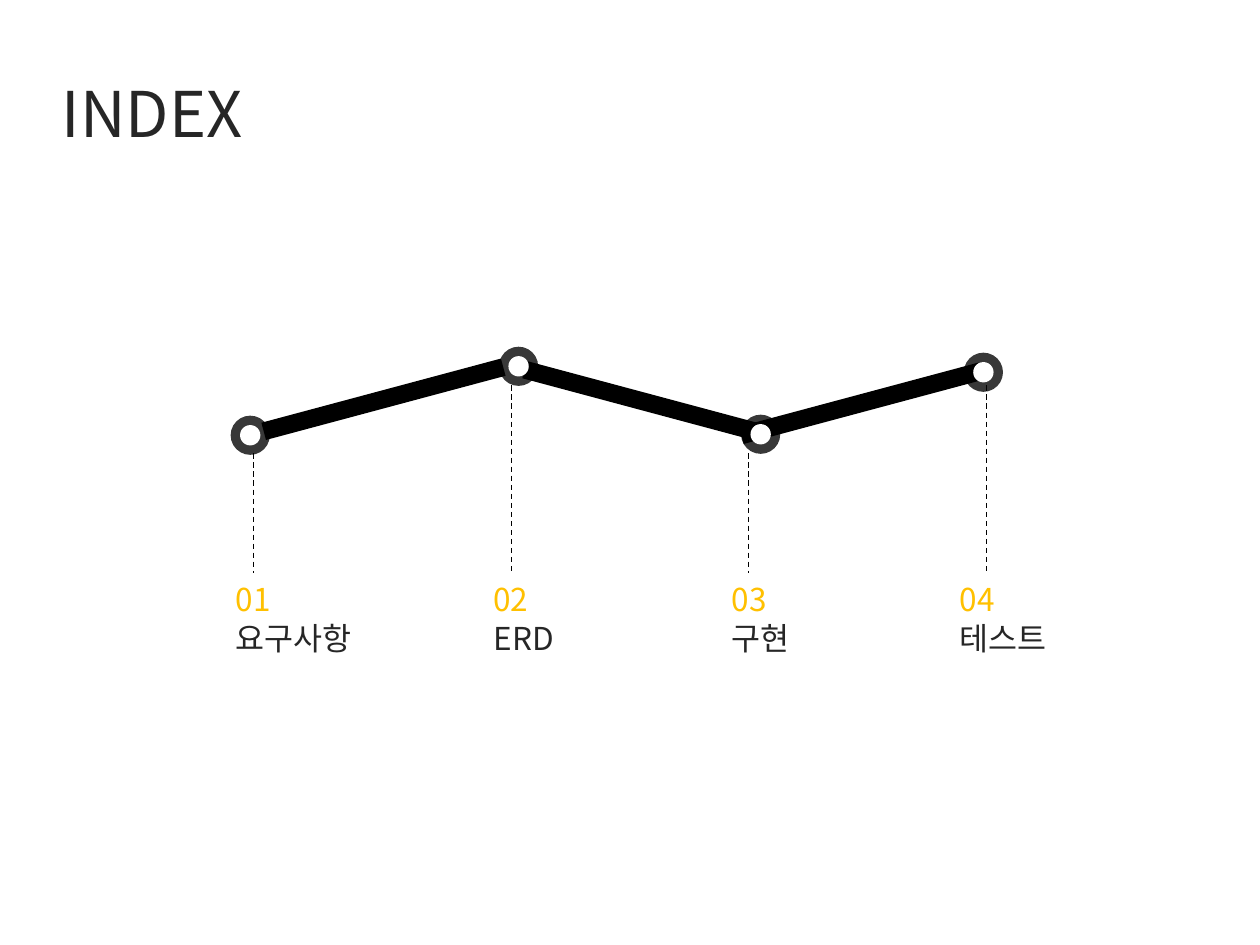
from lxml.etree import SubElement
from pptx import Presentation
from pptx.dml.color import RGBColor
from pptx.enum.dml import MSO_LINE
from pptx.enum.shapes import MSO_CONNECTOR, MSO_SHAPE
from pptx.enum.text import MSO_AUTO_SIZE
from pptx.oxml.ns import qn
from pptx.util import Cm, Pt

FONT = "Noto Sans CJK KR"
INK, DARK, ACCENT, WHITE = "000000", "262626", "FFC000", "FFFFFF"
RING, DOT = 0.79, 0.41
BAR_LENGTH, BAR_THICKNESS = 5, 0.36
LABEL_TOP, LABEL_WIDTH, LABEL_HEIGHT = 4.57, 4.39, 1.8

# Offsets in cm from the timeline box:
# number, name, label left, guide x, guide top, ring left, ring top
STATIONS = [
    ("01", "요구사항", 0, 0.61, 2.15, 0.15, 1.39),
    ("02", "ERD", 5.2, 5.81, 0.78, 5.56, 0),
    ("03", "구현", 10, 10.59, 2.15, 10.44, 1.37),
    ("04", "테스트", 14.6, 15.39, 0.78, 14.93, 0.12),
]
# Left, top, rotation
BARS = [(0.73, 0.88, -15), (5.99, 0.93, 15), (10.36, 0.96, -15)]


def color(value):
    return RGBColor.from_string(value)


def add_text(shapes, left, top, width, height, lines, size, spacing):
    box = shapes.add_textbox(Cm(left), Cm(top), Cm(width), Cm(height))
    frame = box.text_frame
    frame.word_wrap = True
    frame.auto_size = MSO_AUTO_SIZE.SHAPE_TO_FIT_TEXT
    for index, (text, shade) in enumerate(lines):
        para = frame.add_paragraph() if index else frame.paragraphs[0]
        para.text = text
        para.line_spacing = Pt(spacing)
        para.font.size = Pt(size)
        para.font.color.rgb = color(shade)
        para.font.name = FONT
        # Korean letters take their font from a:ea
        defaults = para._p.pPr.find(qn("a:defRPr"))
        SubElement(defaults, qn("a:ea"), typeface=FONT)


def add_solid(shapes, kind, left, top, width, height, fill, alpha=None):
    shape = shapes.add_shape(kind, Cm(left), Cm(top), Cm(width), Cm(height))
    shape.shadow.inherit = False
    shape.fill.solid()
    shape.fill.fore_color.rgb = color(fill)
    shape.line.fill.background()
    if alpha is not None:
        tint = shape._element.spPr.find(qn("a:solidFill"))[0]
        SubElement(tint, qn("a:alpha"), val=str(alpha * 1000))
    return shape


def add_guide(shapes, x, top, bottom):
    guide = shapes.add_connector(
        MSO_CONNECTOR.STRAIGHT, Cm(x), Cm(top), Cm(x), Cm(bottom))
    guide.line.color.rgb = color(INK)
    guide.line.width = Pt(0.75)
    guide.line.dash_style = MSO_LINE.DASH
    SubElement(guide._element.spPr, qn("a:effectLst"))


def add_title(page, left, top, width, height):
    add_text(page.shapes, left, top, width, height, [("INDEX", DARK)], 36, 45)


def add_timeline(page, left, top):
    shapes = page.shapes.add_group_shape().shapes

    # Slanted bars between the stations
    for x, y, angle in BARS:
        bar = add_solid(shapes, MSO_SHAPE.RECTANGLE, left + x, top + y,
                        BAR_LENGTH, BAR_THICKNESS, INK)
        bar.rotation = angle

    # Guide, ring, dot and label of each station
    inset = (RING - DOT) / 2
    for number, name, label_x, guide_x, guide_top, ring_x, ring_y in STATIONS:
        add_guide(shapes, left + guide_x, top + guide_top, top + LABEL_TOP)
        add_solid(shapes, MSO_SHAPE.OVAL, left + ring_x, top + ring_y,
                  RING, RING, INK, alpha=78)
        add_solid(shapes, MSO_SHAPE.OVAL, left + ring_x + inset,
                  top + ring_y + inset, DOT, DOT, WHITE)
        add_text(shapes, left + label_x, top + LABEL_TOP, LABEL_WIDTH,
                 LABEL_HEIGHT, [(number, ACCENT), (name, DARK)], 18, 22)


def main():
    deck = Presentation()
    deck.slide_width, deck.slide_height = Cm(25.4), Cm(19.05)
    page = deck.slides.add_slide(deck.slide_layouts[6])
    add_title(page, 1, 1.32, 19.2, 1.8)
    add_timeline(page, 4.5, 6.99)
    deck.save("out.pptx")


if __name__ == "__main__":
    main()
